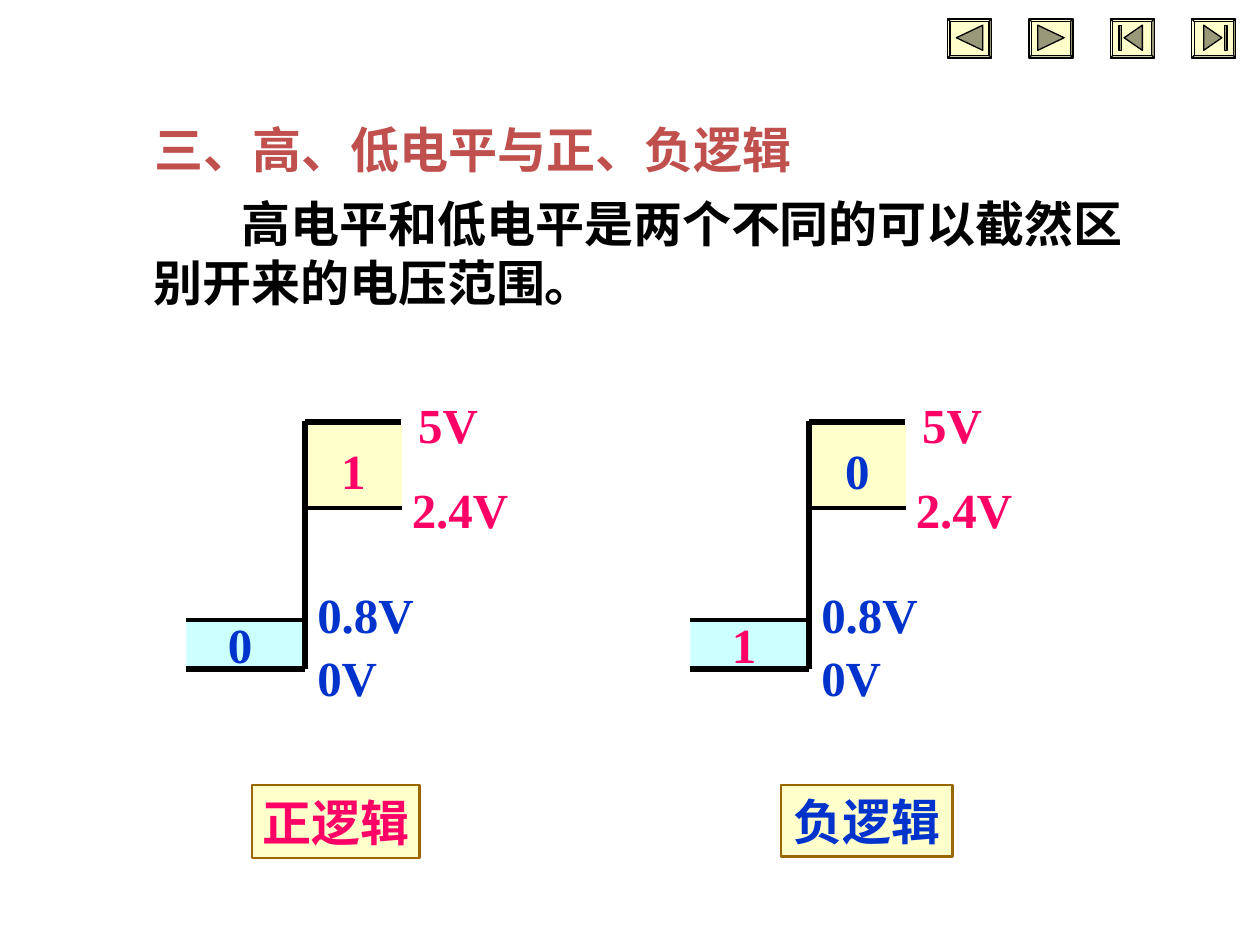
from pptx import Presentation
from pptx.dml.color import RGBColor
from pptx.enum.shapes import MSO_CONNECTOR as CONN, MSO_SHAPE as SHAPE
from pptx.enum.text import MSO_ANCHOR as ANCHOR, MSO_AUTO_SIZE as FIT, PP_ALIGN as ALIGN
from pptx.oxml.ns import qn
from pptx.util import Inches, Pt
from lxml import etree

COLS, ROWS = 100, 75
RED, BLUE, BLACK = "FF0066", "0033CC", "000000"
CREAM, CYAN, BROWN, GLYPH = "FFFFCC", "CCFFFF", "996600", "99997A"


def rgb(value):
    return RGBColor.from_string(value)


class Board:
    """Style and current slide; positions are columns and rows of the grid."""
    font, size = "Times New Roman", Pt(28)

    def __init__(self, prs):
        self.slide = prs.slides.add_slide(prs.slide_layouts[5])
        self.col = prs.slide_width / COLS
        self.row = prs.slide_height / ROWS

    def box(self, x, y, w, h):
        return (round(x * self.col), round(y * self.row),
                round(w * self.col), round(h * self.row))

    def set_text(self, sp, text, color, align=ALIGN.LEFT, anchor=ANCHOR.TOP, wrap=True, indent=0):
        tf = sp.text_frame
        tf.text, tf.word_wrap, tf.vertical_anchor = text, wrap, anchor
        tf.auto_size = FIT.NONE
        p = tf.paragraphs[0]
        p.alignment = align
        if indent:
            p._p.get_or_add_pPr().set("indent", str(round(indent * self.col)))
        p.font.name, p.font.size, p.font.bold = self.font, self.size, True
        p.font.color.rgb = rgb(color)

    def title(self, x, y, w, h, text, color):
        sp = self.slide.shapes.title
        sp.left, sp.top, sp.width, sp.height = self.box(x, y, w, h)
        self.set_text(sp, text, color)

    def text(self, x, y, w, h, text, color, **style):
        sp = self.slide.shapes.add_textbox(*self.box(x, y, w, h))
        self.set_text(sp, text, color, **style)

    def paint(self, sp, fill, line=None, width=0.75):
        sp.shadow.inherit = False
        sp.fill.solid()
        sp.fill.fore_color.rgb = rgb(fill)
        if line:
            sp.line.color.rgb = rgb(line)
            sp.line.width = Pt(width)
        else:
            sp.line.fill.background()
        return sp

    def shape(self, kind, x, y, w, h, fill, line=None, width=0.75):
        sp = self.slide.shapes.add_shape(kind, *self.box(x, y, w, h))
        return self.paint(sp, fill, line, width)

    def line(self, x1, y1, x2, y2, width):
        start, end = self.box(x1, y1, 0, 0)[:2], self.box(x2, y2, 0, 0)[:2]
        s = self.slide.shapes.add_connector(CONN.STRAIGHT, *start, *end)
        s.line.color.rgb = rgb(BLACK)
        s.line.width = Pt(width)
        etree.SubElement(s._element.spPr, qn("a:effectLst"))

    def polygon(self, points, fill, line):
        start, *rest = [self.box(x, y, 0, 0)[:2] for x, y in points]
        builder = self.slide.shapes.build_freeform(*start)
        builder.add_line_segments(rest, close=True)
        self.paint(builder.convert_to_shape(), fill, line)

    def label(self, x, y, w, h, text, color, width):
        sp = self.shape(SHAPE.RECTANGLE, x, y, w, h, CREAM, BROWN, width)
        self.set_text(sp, text, color, ALIGN.CENTER, ANCHOR.MIDDLE, wrap=False)

    def levels(self, x, high, low):
        """Step diagram whose riser stands at column x."""
        # Voltage bands
        self.shape(SHAPE.RECTANGLE, x - 9.4, 49.2, 9.5, 3.9, CYAN)
        self.shape(SHAPE.RECTANGLE, x + 0.2, 33.7, 7.5, 6.5, CREAM)
        # Band edges and riser
        for x1, x2, y, width in ((0, 7.6, 33.5, 3), (0, 7.7, 40.3, 2.25),
                                 (-9.4, 0, 49.2, 2.25), (-9.4, 0, 53.1, 3)):
            self.line(x + x1, y, x + x2, y, width)
        self.line(x, 33.4, x, 53.1, 3)
        # Voltages
        for dx, y, text, color in ((8, 30.8, "5V", RED), (7.5, 37.6, "2.4V", RED),
                                   (0, 45.9, "0.8V", BLUE), (0, 50.9, "0V", BLUE)):
            self.text(x + dx, y, 11, 5.7, text, color)
        # Logic values
        for dx, y, (text, color) in ((1.9, 34.5, high), (-7.1, 48.3, low)):
            self.text(x + dx, y, 4.7, 5.7, text, color)

    def button(self, x, forward, bar):
        """Bevelled navigation button; a bar marks first or last slide."""
        y, w, h = 1.5, 3.5, 3.1
        sp = self.shape(SHAPE.BEVEL, x, y, w, h, CREAM, BLACK)
        sp.adjustments[0] = 0.065
        base, tip = (0.95, 2.4) if bar else (0.7, 2.8)
        shapes = [[(base, 0.5), (tip, 1.5), (base, 2.5)]]
        if bar:
            shapes.append([(2.6, 0.5), (2.8, 0.5), (2.8, 2.5), (2.6, 2.5)])
        for points in shapes:
            self.polygon([(x + (dx if forward else w - dx), y + dy) for dx, dy in points],
                         GLYPH, BLACK)


def main():
    prs = Presentation()
    prs.slide_width, prs.slide_height = Inches(10), Inches(7.5)
    board = Board(prs)

    # Heading and definition
    board.title(11.3, 9, 81.3, 5.7, "三、高、低电平与正、负逻辑", "C0504D")
    board.text(11.2, 14.9, 79.8, 10.4, "高电平和低电平是两个不同的可以截然区别开来的电压范围。",
               BLACK, indent=7)

    # Positive and negative logic
    one, zero = ("1", RED), ("0", BLUE)
    board.levels(24.2, high=one, low=zero)
    board.levels(64.2, high=zero, low=one)
    board.label(20, 62.3, 13.3, 5.8, "正逻辑", RED, 1.25)
    board.label(62, 62.3, 13.6, 5.7, "负逻辑", BLUE, 1.5)

    # Navigation buttons: previous, next, first, last
    for i, (forward, bar) in enumerate(((False, False), (True, False),
                                        (False, True), (True, True))):
        board.button(75.2 + 6.46 * i, forward, bar)

    prs.save("out.pptx")


if __name__ == "__main__":
    main()
